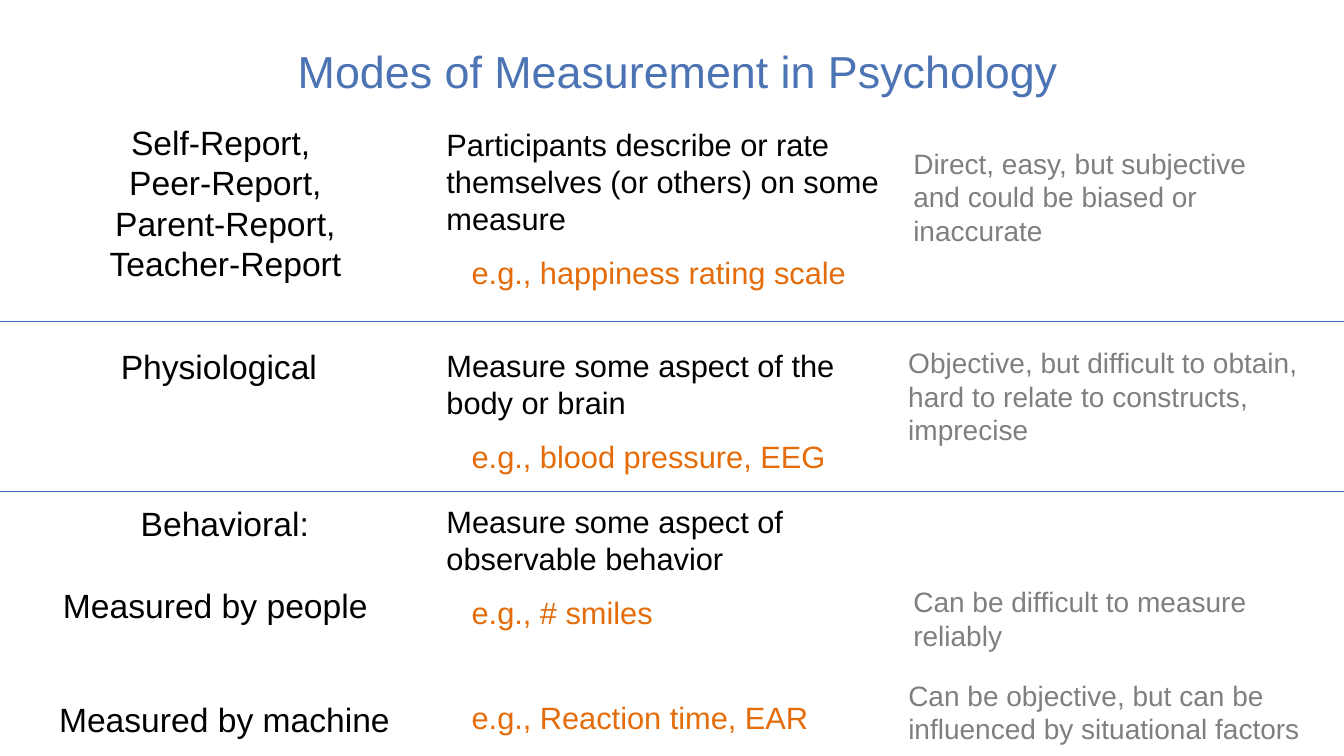
from dataclasses import dataclass

from lxml import etree
from pptx import Presentation
from pptx.dml.color import RGBColor
from pptx.enum.shapes import MSO_CONNECTOR
from pptx.enum.text import MSO_ANCHOR, PP_ALIGN
from pptx.oxml.ns import qn
from pptx.util import Emu, Pt

LEFT, CENTER = PP_ALIGN.LEFT, PP_ALIGN.CENTER
STRAIGHT, MIDDLE = MSO_CONNECTOR.STRAIGHT, MSO_ANCHOR.MIDDLE

TITLE = "Modes of Measurement in Psychology"
TITLE_BOX = (207, 21, 931, 99)

# Each entry: box (left, top, width, height), alignment, lines
MODES = [
    ((39, 116, 369, 169), CENTER,
     ["Self-Report, ", "Peer-Report,", "Parent-Report,", "Teacher-Report"]),
    ((110, 338, 227, 50), LEFT, ["Physiological"]),
    ((90, 494, 266, 58), CENTER, ["Behavioral:"]),
    ((25, 575, 377, 58), CENTER, ["Measured by people"]),
    ((47, 688, 351, 58), CENTER, ["Measured by machine"]),
]

# Each entry: top, width, height, description, examples as (text, points above)
DESCRIPTIONS = [
    (120, 457, 176,
     "Participants describe or rate themselves (or others) on some measure",
     [("e.g., happiness rating scale", 12)]),
    (339, 430, 138, "Measure some aspect of the body or brain",
     [("e.g., blood pressure, EEG", 12)]),
    (494, 457, 240, "Measure some aspect of observable behavior",
     [("e.g., # smiles", 12), ("e.g., Reaction time, EAR", 49)]),
]

# Each entry: box, text
EVALUATIONS = [
    ((896, 140, 404, 145),
     "Direct, easy, but subjective and could be biased or inaccurate"),
    ((891, 338, 410, 145),
     "Objective, but difficult to obtain, hard to relate to constructs, imprecise"),
    ((896, 575, 404, 73), "Can be difficult to measure reliably"),
    ((891, 668, 428, 145),
     "Can be objective, but can be influenced by situational factors"),
]

DIVIDER_TOPS = [319, 487]
SLIDE_WIDTH, SLIDE_HEIGHT = 1333, 750
DESCRIPTION_LEFT = 433
EXAMPLE_INDENT = 25


@dataclass(frozen=True)
class Theme:
    font: str = "Arial"
    title: str = "4C73B3"
    body: str = "000000"
    example: str = "E46C0A"
    evaluation: str = "7F7F7F"
    divider: str = "4472C4"
    title_size: int = 32
    mode_size: int = 24
    description_size: int = 22
    evaluation_size: int = 20


THEME = Theme()


def px(length):
    """Turn px, 100 to the inch, into EMU."""
    return Emu(length * 9144)


def place(shape, box):
    shape.left, shape.top, shape.width, shape.height = map(px, box)


def add_run(paragraph, text, size, color, align=LEFT):
    paragraph.alignment = align
    run = paragraph.add_run()
    run.text = text
    run.font.name = THEME.font
    run.font.size = Pt(size)
    run.font.color.rgb = RGBColor.from_string(color)


def add_lines(slide, box, lines, size, color, align=LEFT):
    frame = slide.shapes.add_textbox(*map(px, box)).text_frame
    frame.word_wrap = True
    for index, line in enumerate(lines):
        paragraph = frame.add_paragraph() if index else frame.paragraphs[0]
        add_run(paragraph, line, size, color, align)
    return frame


def add_example(frame, text, space_above):
    paragraph = frame.add_paragraph()
    paragraph.space_before = Pt(space_above)
    add_run(paragraph, text, THEME.description_size, THEME.example)
    paragraph._p.get_or_add_pPr().set("marL", str(px(EXAMPLE_INDENT)))


def add_divider(slide, top):
    divider = slide.shapes.add_connector(
        STRAIGHT, px(0), px(top), px(SLIDE_WIDTH), px(top))
    divider.line.color.rgb = RGBColor.from_string(THEME.divider)
    divider.line.width = Pt(0.5)
    etree.SubElement(divider._element.spPr, qn("a:effectLst"))


def main():
    deck = Presentation()
    deck.slide_width, deck.slide_height = px(SLIDE_WIDTH), px(SLIDE_HEIGHT)
    slide = deck.slides.add_slide(deck.slide_layouts.get_by_name("Title Only"))

    title = slide.shapes.title
    place(title, TITLE_BOX)
    title.text_frame.vertical_anchor = MIDDLE
    add_run(title.text_frame.paragraphs[0], TITLE,
            THEME.title_size, THEME.title, CENTER)

    for box, align, lines in MODES:
        add_lines(slide, box, lines, THEME.mode_size, THEME.body, align)

    for top, width, height, description, examples in DESCRIPTIONS:
        frame = add_lines(slide, (DESCRIPTION_LEFT, top, width, height),
                          [description], THEME.description_size, THEME.body)
        for text, space_above in examples:
            add_example(frame, text, space_above)

    for box, evaluation in EVALUATIONS:
        add_lines(slide, box, [evaluation],
                  THEME.evaluation_size, THEME.evaluation)

    for top in DIVIDER_TOPS:
        add_divider(slide, top)

    deck.save("out.pptx")


if __name__ == "__main__":
    main()
